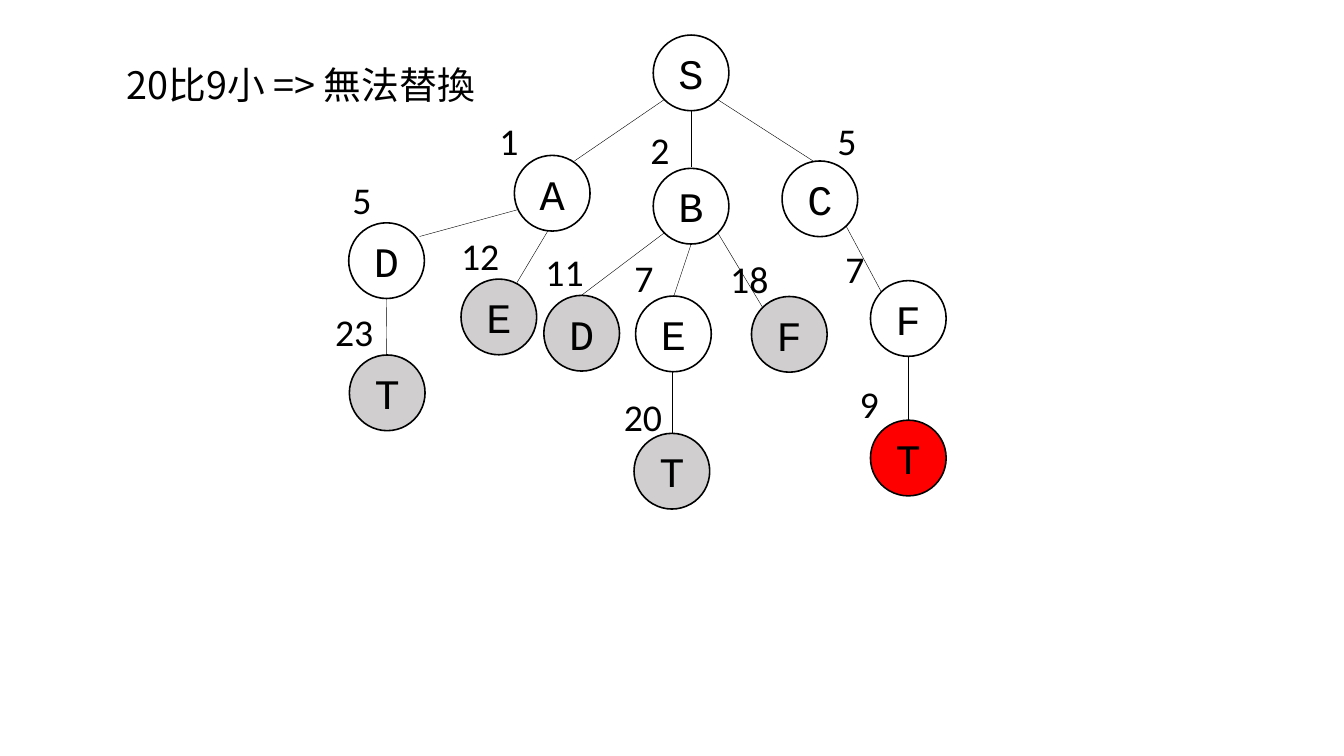
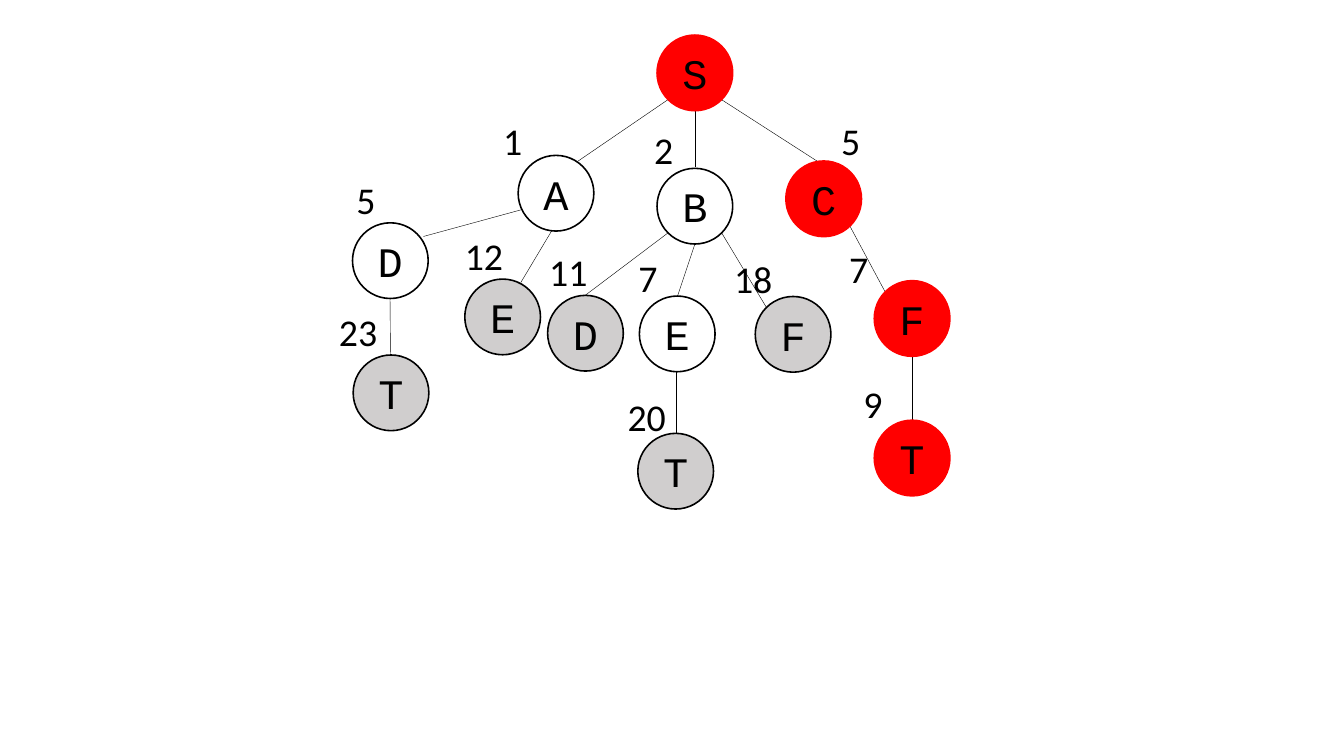
from lxml import etree
from pptx import Presentation
from pptx.dml.color import RGBColor
from pptx.enum import shapes, text
from pptx.oxml import ns
from pptx.util import Cm, Pt

COLORS = {"black": "000000", "white": "FFFFFF", "grey": "D0CECE", "red": "FF0000"}
NODE_SIZE = 3.39
LABEL_HEIGHT = 2.31

# Tree nodes, named by their route from the root: (left, top, fill)
NODES = {
    "S": (29.26, 1.57, "white"),
    "SA": (23.04, 6.96, "white"),
    "SB": (29.26, 7.54, "white"),
    "SC": (35.03, 7.21, "white"),
    "SAD": (15.62, 9.98, "white"),
    "SAE": (20.65, 12.5, "grey"),
    "SBD": (24.36, 13.23, "grey"),
    "SBE": (28.47, 13.26, "white"),
    "SBF": (33.66, 13.28, "grey"),
    "SCF": (38.99, 12.57, "white"),
    "SADT": (15.65, 15.9, "grey"),
    "SBET": (28.4, 19.41, "grey"),
    "SCFT": (38.99, 18.82, "red"),
}

# Edges from parent to child: (from x, from y, to x, to y)
EDGES = [
    (29.74, 4.47, 25.73, 7.21),
    (30.96, 4.98, 30.96, 7.47),
    (32.16, 4.47, 36.42, 7.21),
    (23.16, 9.4, 18.8, 10.59),
    (24.54, 10.34, 23.16, 12.65),
    (29.74, 10.44, 26.04, 13.23),
    (30.96, 10.92, 30.18, 13.26),
    (32.16, 10.44, 34.16, 13.77),
    (37.9, 10.13, 39.47, 13.06),
    (17.3, 13.39, 17.32, 15.9),
    (30.1, 16.54, 30.1, 19.41),
    (40.67, 15.95, 40.67, 18.82),
]

# Path costs: (cost, left, top, width)
COSTS = [
    ("1", 22.12, 5.16, 2.39),
    ("2", 28.88, 5.54, 2.39),
    ("5", 37.26, 5.16, 2.39),
    ("5", 15.54, 7.77, 3.23),
    ("12", 20.4, 10.31, 3.23),
    ("11", 24.18, 11.02, 3.23),
    ("7", 28.17, 11.28, 3.23),
    ("18", 32.46, 11.33, 3.23),
    ("7", 37.62, 10.9, 2.39),
    ("23", 14.76, 13.69, 3.23),
    ("20", 27.69, 17.53, 5.99),
    ("9", 38.25, 16.94, 2.39),
]

# Slides: (title, shift of the tree, nodes on the best path)
SLIDES = [
    ("20比9小 => 無法替換", 0, []),
    (None, 0.17, ["S", "SC", "SCF", "SCFT"]),
]


def color(name):
    return RGBColor.from_string(COLORS[name])


def write(shape, words, size, font, align):
    paragraph = shape.text_frame.paragraphs[0]
    paragraph.text = words
    paragraph.alignment = align
    paragraph.font.size = Pt(size)
    paragraph.font.color.rgb = color("black")
    paragraph.font.name = font
    return paragraph


presentation = Presentation()
presentation.slide_width = Cm(60.2)
presentation.slide_height = Cm(33.86)
title_only, blank = presentation.slide_layouts[5], presentation.slide_layouts[6]

for title_text, shift, best_path in SLIDES:
    slide = presentation.slides.add_slide(title_only if title_text else blank)

    # Title
    if title_text:
        title = slide.shapes.title
        title.left, title.top = Cm(3.45), Cm(2.62)
        title.width, title.height = Cm(20.04), Cm(LABEL_HEIGHT)
        title.text_frame.vertical_anchor = text.MSO_ANCHOR.TOP
        title.text_frame.auto_size = text.MSO_AUTO_SIZE.NONE
        font = "Noto Sans CJK SC"
        paragraph = write(title, title_text, 48, font, text.PP_ALIGN.CENTER)
        properties = paragraph._p.xpath("a:pPr/a:defRPr")[0]
        etree.SubElement(properties, ns.qn("a:ea"), typeface=font)

    # Edges, behind the nodes
    for x1, y1, x2, y2 in EDGES:
        edge = slide.shapes.add_connector(
            shapes.MSO_CONNECTOR.STRAIGHT,
            Cm(x1 + shift), Cm(y1), Cm(x2 + shift), Cm(y2))
        edge.line.color.rgb = color("black")
        edge.line.width = Pt(0.5)
        etree.SubElement(edge._element.spPr, ns.qn("a:effectLst"))

    # Nodes
    for route, (left, top, fill) in NODES.items():
        on_path = route in best_path
        node = slide.shapes.add_shape(
            shapes.MSO_SHAPE.OVAL,
            Cm(left + shift), Cm(top), Cm(NODE_SIZE), Cm(NODE_SIZE))
        node.shadow.inherit = False
        node.fill.solid()
        node.fill.fore_color.rgb = color("red" if on_path else fill)
        node.line.color.rgb = color("red" if on_path else "black")
        node.line.width = Pt(2)
        node.text_frame.vertical_anchor = text.MSO_ANCHOR.MIDDLE
        write(node, route[-1], 53.3, "Courier New", text.PP_ALIGN.CENTER)

    # Costs
    for cost, left, top, width in COSTS:
        label = slide.shapes.add_textbox(
            Cm(left + shift), Cm(top), Cm(width), Cm(LABEL_HEIGHT))
        label.text_frame.word_wrap = True
        label.text_frame.auto_size = text.MSO_AUTO_SIZE.SHAPE_TO_FIT_TEXT
        write(label, cost, 48, "Calibri", text.PP_ALIGN.LEFT)

presentation.save("out.pptx")
